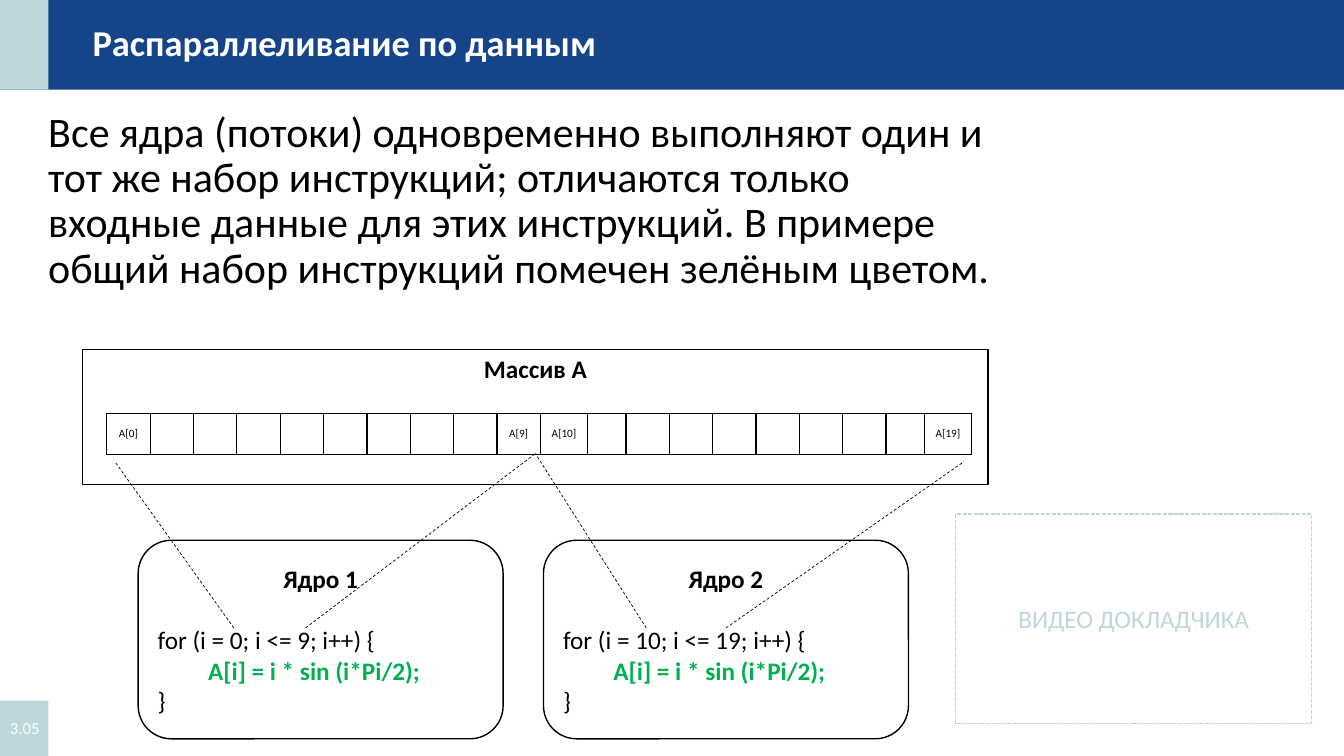
from lxml.etree import SubElement as Sub
from pptx import Presentation
from pptx.dml.color import RGBColor
from pptx.enum.dml import MSO_LINE as Dash
from pptx.enum.shapes import MSO_CONNECTOR as Link, MSO_SHAPE as Kind
from pptx.enum.text import MSO_ANCHOR as Anchor, PP_ALIGN as Align
from pptx.oxml.ns import qn
from pptx.util import Inches, Pt

NAVY, TEAL, BLACK, WHITE, GREEN = "164489", "BDD7DA", "000000", "FFFFFF", "00B050"


def color(code):
    """Turn a hex string into a colour."""
    return RGBColor.from_string(code)


def span(box):
    """Turn a box in inches into lengths."""
    return [Inches(n) for n in box]


def style(para, text, size, code=BLACK, bold=False, align=Align.LEFT):
    """Fill a paragraph and set its font."""
    para.text, para.alignment = text, align
    font = para.font
    font.name, font.size, font.bold = "Calibri", Pt(size), bold
    font.color.rgb = color(code)
    return para


def block(slide, box, fill=None, line=None, kind=Kind.RECTANGLE):
    """Draw a flat shape with an optional fill and line."""
    shape = slide.shapes.add_shape(kind, *span(box))
    shape.shadow.inherit = False
    if fill:
        shape.fill.solid()
        shape.fill.fore_color.rgb = color(fill)
    else:
        shape.fill.background()
    if line:
        shape.line.color.rgb = color(line)
        shape.line.width = Pt(1)
    else:
        shape.line.fill.background()
    return shape


def label(slide, box, text, size, code, anchor=Anchor.MIDDLE, wrap=True, **look):
    """Place a one-paragraph text box."""
    frame = slide.shapes.add_textbox(*span(box)).text_frame
    frame.word_wrap, frame.vertical_anchor = wrap, anchor
    return style(frame.paragraphs[0], text, size, code, **look)


def ray(slide, start, end):
    """Draw a thin dashed line between two points."""
    line = slide.shapes.add_connector(Link.STRAIGHT, *span(start + end))
    line.line.color.rgb = color(BLACK)
    line.line.width = Pt(0.5)
    line.line.dash_style = Dash.DASH
    Sub(line._element.spPr, qn("a:effectLst"))


def header(slide, box, title):
    """Draw the title bar with its corner block."""
    left, top, width, height = box
    block(slide, box, NAVY)
    block(slide, (left, top, 0.48, height), TEAL)
    para = label(slide, (left + 0.82, top + 0.24, 9.69, 0.4), title, 26, WHITE, bold=True)
    para.line_spacing = 0.9


def footer(slide, box, number):
    """Draw the page number block."""
    left, top, width, height = box
    block(slide, box, TEAL)
    label(slide, (left, top + 0.07, 0.56, 0.4), number, 12, WHITE)


def intro(slide, box, text):
    """Place the main statement."""
    para = label(slide, box, text, 30, BLACK, Anchor.TOP)
    para.line_spacing, para.space_before = 0.9, Pt(10)


def video(slide, box):
    """Draw the dashed place for the speaker's video."""
    left, top, width, height = box
    frame = block(slide, box, line=TEAL)
    frame.line.dash_style = Dash.SQUARE_DOT
    label(slide, (left + 0.51, top + 0.84, width - 1.02, 0.4), "ВИДЕО ДОКЛАДЧИКА", 18, TEAL,
          wrap=False, align=Align.CENTER)


def edge(cell):
    """Give a cell thin black borders."""
    props = cell._tc.get_or_add_tcPr()
    for side in ("lnL", "lnR", "lnT", "lnB"):
        line = Sub(props, qn(f"a:{side}"), w=str(Pt(1)))
        Sub(Sub(line, qn("a:solidFill")), qn("a:srgbClr"), val=BLACK)


def array(slide, box):
    """Draw the array frame and its row of twenty cells."""
    left, top, width, height = box
    frame = block(slide, box, WHITE, BLACK).text_frame
    frame.vertical_anchor = Anchor.TOP
    frame.margin_left = frame.margin_right = frame.margin_top = frame.margin_bottom = Inches(0.04)
    style(frame.paragraphs[0], "Массив A", 18, bold=True, align=Align.CENTER)
    row = (left + 0.24, top + 0.63, width - 0.48, 0.41)
    table = slide.shapes.add_table(1, 20, *span(row)).table
    table.first_row = table.horz_banding = False
    wide = {10: 0.47, 11: 0.38, 18: 0.38, 19: 0.47}
    for i, cell in enumerate(table.rows[0].cells):
        table.columns[i].width = Inches(wide.get(i, 0.43))
        cell.margin_left = cell.margin_right = 0
        cell.vertical_anchor = Anchor.MIDDLE
        edge(cell)
        cell.fill.background()
        text = f"A[{i}]" if i in (0, 9, 10, 19) else ""
        style(cell.text_frame.paragraphs[0], text, 8, align=Align.CENTER)


def core(slide, box, number, first, last, rays):
    """Draw a core with its loop and the rays to its part of the array."""
    frame = block(slide, box, WHITE, BLACK, Kind.ROUNDED_RECTANGLE).text_frame
    frame.word_wrap, frame.vertical_anchor = True, Anchor.MIDDLE
    head = style(frame.paragraphs[0], f"Ядро {number}", 18, bold=True, align=Align.CENTER)
    head.space_after = Pt(22)
    style(frame.add_paragraph(), f"for (i = {first}; i <= {last}; i++) {{", 18)
    body = style(frame.add_paragraph(), "A[i] = i * sin (i*Pi/2);", 18, GREEN, True)
    body.level = 1
    props = body._p.get_or_add_pPr()
    props.set("marL", str(Inches(0.5)))
    props.set("indent", "0")
    style(frame.add_paragraph(), "}", 18)
    for x, end in rays:
        ray(slide, (x, box[1] + 0.87), end)


def main():
    """Build and save the slide."""
    deck = Presentation()
    deck.slide_width, deck.slide_height = Inches(13.33), Inches(7.5)
    slide = deck.slides.add_slide(deck.slide_layouts[6])
    intro(slide, (0.38, 1.05, 9.61, 2.4),
          "Все ядра (потоки) одновременно выполняют один и тот же набор инструкций; "
          "отличаются только входные данные для этих инструкций. "
          "В примере общий набор инструкций помечен зелёным цветом.")
    header(slide, (0, 0, 13.33, 0.89), "Распараллеливание по данным")
    video(slide, (9.48, 5.1, 3.53, 2.08))
    footer(slide, (0, 6.95, 0.48, 0.55), "3.05")
    array(slide, (0.82, 3.47, 8.98, 1.34))
    middle = (5.31, 4.5)
    core(slide, (1.37, 5.36, 3.62, 1.97), 1, 0, 9, [(2.32, (1.14, 4.58)), (3.03, middle)])
    core(slide, (5.39, 5.36, 3.62, 1.97), 2, 10, 19, [(6.41, middle), (7.2, (9.56, 4.58))])
    deck.save("out.pptx")


if __name__ == "__main__":
    main()
